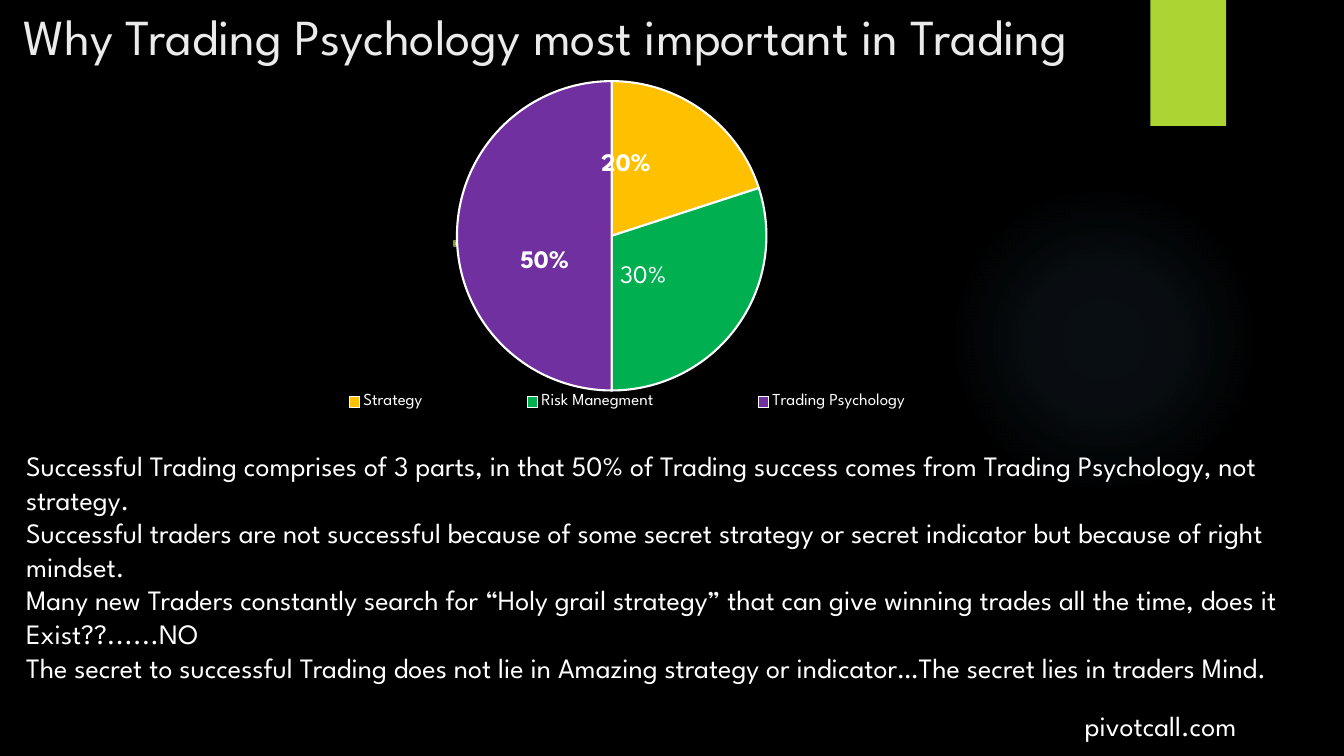
from lxml.etree import SubElement as Sub
from pptx import Presentation
from pptx.chart.data import CategoryChartData as Data
from pptx.dml.color import RGBColor as Rgb
from pptx.enum.chart import XL_CHART_TYPE as Kind, XL_LEGEND_POSITION as Side
from pptx.enum.chart import XL_LABEL_POSITION as Spot
from pptx.enum.shapes import MSO_SHAPE as Form
from pptx.enum.text import MSO_ANCHOR as Anchor, MSO_AUTO_SIZE as Fit, PP_ALIGN as Align
from pptx.oxml import parse_xml
from pptx.oxml.ns import nsdecls, qn
from pptx.util import Inches, Pt

FONT = "League Spartan"
WHITE, LIME = "FFFFFF", "ACD433"
SLICES = [
    ("Strategy", 0.2, "FFC000", True, (-0.03, -0.02)),
    ("Risk Manegment", 0.3, "00B050", False, (-0.03, -0.01)),
    ("Trading Psychology", 0.5, "7030A0", True, (0.01, 0.07)),
]
GLOW = [(0, 7), (36, 6), (69, 0)]
BODY = [
    "Successful Trading comprises of 3 parts, in that 50% of Trading success "
    "comes from Trading Psychology, not strategy.",
    "Successful traders are not successful because of some secret strategy or "
    "secret indicator but because of right mindset.",
    "Many new Traders constantly search for “Holy grail strategy” that can give "
    "winning trades all the time, does it Exist??......NO",
    "The secret to successful Trading does not lie in Amazing strategy or "
    "indicator…The secret lies in traders Mind.",
]


def tint(fmt, code):
    """Give a fill or font colour a hex value."""
    fmt.rgb = Rgb.from_string(code)


def style(font, size, color=WHITE, bold=False):
    """Set the typeface, size, colour and weight of a font."""
    font.name, font.size, font.bold = FONT, Pt(size), bold
    tint(font.color, color)


def write(frame, lines, size=20, color=WHITE, anchor=Anchor.TOP):
    """Fill a text frame with one left-aligned paragraph per line."""
    frame.auto_size, frame.word_wrap = Fit.NONE, True
    frame.vertical_anchor = anchor
    for i, line in enumerate(lines):
        para = frame.paragraphs[0] if i == 0 else frame.add_paragraph()
        para.alignment = Align.LEFT
        run = para.add_run()
        run.text = line
        style(run.font, size, color)


def layout(host, spot, **vals):
    """Put a manual chart layout at the given child index."""
    old = host.find(qn("c:layout"))
    if old is not None:
        host.remove(old)
    node = parse_xml(f"<c:layout {nsdecls('c')}/>")
    manual = Sub(node, qn("c:manualLayout"))
    for name, val in vals.items():
        Sub(manual, qn(f"c:{name}")).set("val", str(val))
    host.insert(spot, node)


class Deck:
    """Holds the presentation, its style and the current slide."""

    def __init__(self):
        self.prs = Presentation()
        self.prs.slide_width, self.prs.slide_height = Inches(13.33), Inches(7.5)
        self.slide = self.prs.slides.add_slide(self.prs.slide_layouts[5])
        self.shapes = self.slide.shapes
        fill = self.slide.background.fill
        fill.solid()
        tint(fill.fore_color, "000000")

    def box(self, x, y, w, h):
        """Turn percentages of the slide into lengths."""
        wide, high = self.prs.slide_width, self.prs.slide_height
        return [int(p * full / 100) for p, full in zip((x, y, w, h), (wide, high) * 2)]

    def block(self, area, color, edge=None, form=Form.RECTANGLE):
        """Draw a flat shape with an optional outline."""
        shape = self.shapes.add_shape(form, *self.box(*area))
        shape.shadow.inherit = False
        shape.fill.solid()
        tint(shape.fill.fore_color, color)
        if edge:
            tint(shape.line.color, edge)
            shape.line.width = Pt(1.5)
        else:
            shape.line.fill.background()
        return shape

    def glow(self, area, color, stops):
        """Draw a circle that fades out from its centre."""
        shape = self.block(area, color, form=Form.OVAL)
        marks = "".join(
            f'<a:gs pos="{at * 1000}"><a:srgbClr val="{color}">'
            f'<a:alpha val="{alpha * 1000}"/></a:srgbClr></a:gs>'
            for at, alpha in stops)
        grad = parse_xml(
            f'<a:gradFill {nsdecls("a")}><a:gsLst>{marks}</a:gsLst><a:path path="circle">'
            '<a:fillToRect l="50000" t="50000" r="50000" b="50000"/></a:path></a:gradFill>')
        props = shape._element.spPr
        props.replace(props.find(qn("a:solidFill")), grad)

    def title(self, area, text):
        """Place and fill the title above the backdrop."""
        shape = self.shapes.title
        shape.left, shape.top, shape.width, shape.height = self.box(*area)
        write(shape.text_frame, [text], 36, "EBEBEB")
        self.shapes._spTree.append(shape._element)

    def text(self, area, *lines):
        """Add a text box."""
        write(self.shapes.add_textbox(*self.box(*area)).text_frame, lines)

    def pie(self, area, slices):
        """Add a pie chart with moved labels and a spread legend."""
        data = Data(number_format="0%")
        data.categories = [row[0] for row in slices]
        data.add_series("Series 1", [row[1] for row in slices])
        chart = self.shapes.add_chart(Kind.PIE, *self.box(*area), data).chart
        style(chart.font, 10)
        chart.has_title = False
        chart.has_legend = True
        key = chart.legend
        key.position, key.include_in_layout = Side.BOTTOM, False
        style(key.font, 12)
        layout(key._element, 1, xMode="edge", yMode="edge", x=0.16, y=0.87, w=0.73, h=0.08)
        plot = chart.plots[0]
        plot.vary_by_categories = True
        layout(plot._element.getparent(), 0, layoutTarget="inner", xMode="edge",
               yMode="edge", x=0.36, y=0.07, w=0.3, h=0.81)
        for i, (_, _, color, bold, (dx, dy)) in enumerate(slices):
            point = plot.series[0].points[i]
            point.format.fill.solid()
            tint(point.format.fill.fore_color, color)
            tint(point.format.line.color, WHITE)
            point.format.line.width = Pt(1.5)
            label = point.data_label
            style(label.font, 18, bold=bold)
            label.position = Spot.CENTER
            layout(label.font._element.getparent().getparent().getparent().getparent(),
                   1, x=dx, y=dy)


def main():
    """Build and save the slide."""
    deck = Deck()
    deck.glow((70.59, 24.4, 23.11, 41.07), "7AC4F0", GLOW)
    deck.block((85.6, 0, 5.63, 16.67), LIME)
    deck.title((0.98, 0, 94.75, 20.4), "Why Trading Psychology most important in Trading")
    deck.block((33.76, 31.87, 0.38, 0.67), LIME, "7F9D26")
    deck.pie((6.3, 7.2, 76.89, 50.53), SLICES)
    deck.text((79.97, 93.07, 19.28, 5.87), "pivotcall.com")
    deck.text((1.2, 58.67, 98.12, 37.2), *BODY)
    deck.prs.save("out.pptx")


if __name__ == "__main__":
    main()
